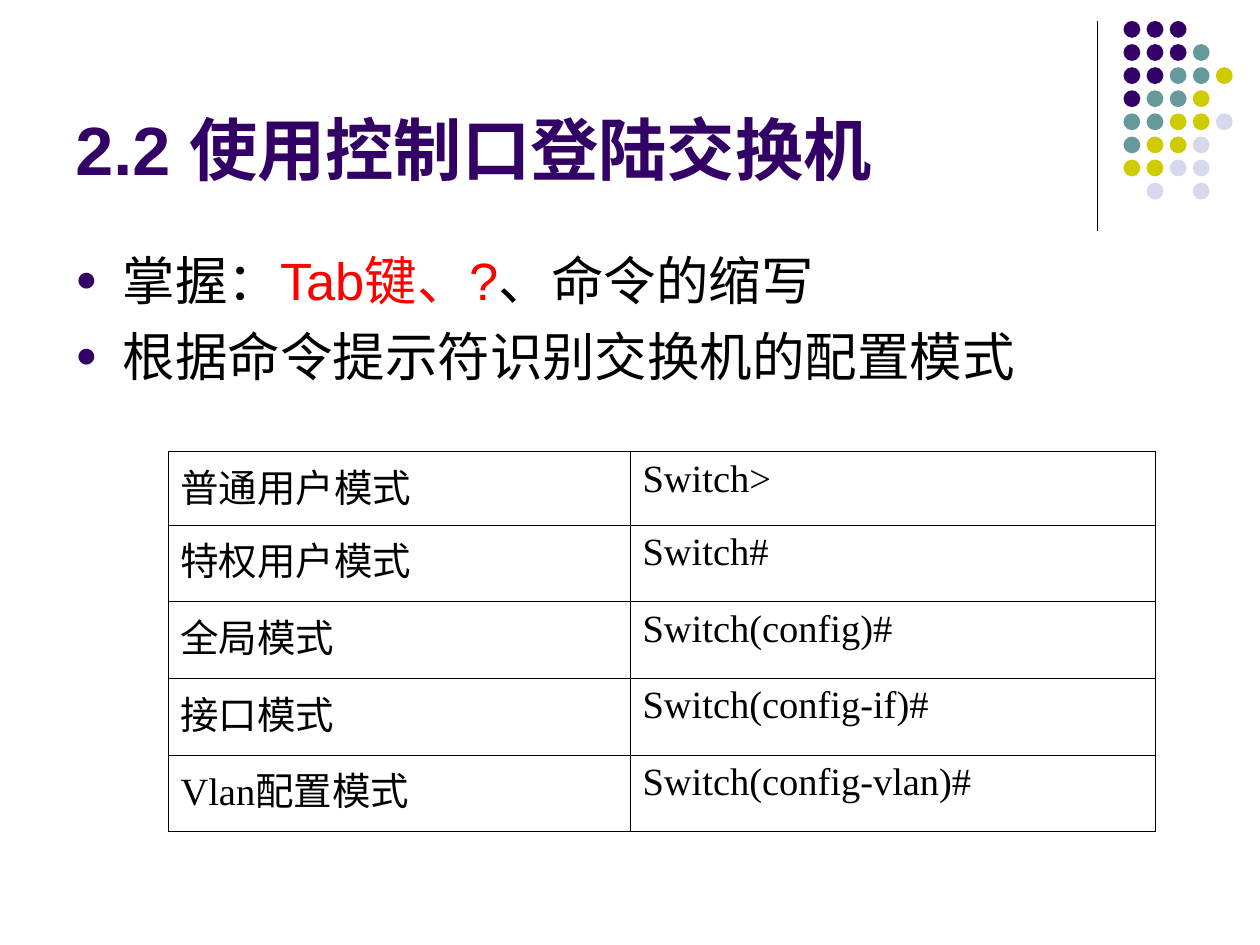
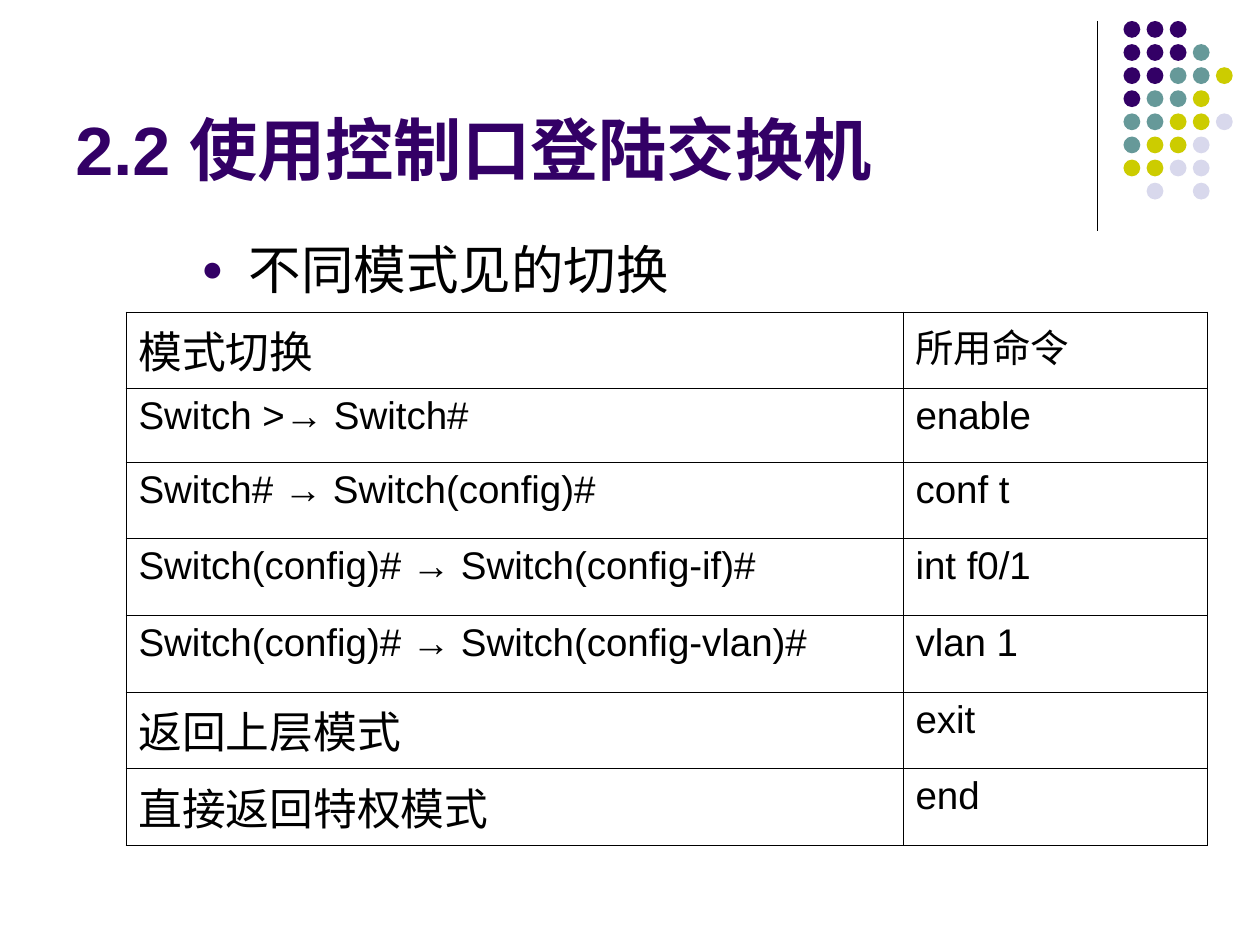
from lxml.etree import SubElement
from pptx import Presentation
from pptx.dml.color import RGBColor
from pptx.enum.shapes import MSO_CONNECTOR, MSO_SHAPE
from pptx.enum.text import MSO_ANCHOR
from pptx.oxml import parse_xml
from pptx.oxml.ns import nsdecls, qn
from pptx.util import Pt

PX = 7620  # EMU, 120 px to the inch
COLORS = {
    "purple": "330066",
    "teal": "669999",
    "lime": "CCCC00",
    "lilac": "D8D8EC",
    "black": "000000",
    "red": "FF0000",
}
SANS, SERIF = "Arial", "Times New Roman"

TITLE = "2.2 使用控制口登陆交换机"
TITLE_BOX = (60, 16, 990, 170)

DOT_ROWS = ["PPP", "PPPT", "PPTTY", "PTTY", "TTYYL", "TYYL", "YYLL", " L L"]
DOT_COLORS = {"P": "purple", "T": "teal", "Y": "lime", "L": "lilac"}
DOT_SIZE, DOT_PITCH = 16, 22

CELL_SIZE, LARGE_SIZE = 22, 25
FIRST_ROW, ROW = 70, 73

MODES = [
    ["普通用户模式", "Switch>"],
    ["特权用户模式", "Switch#"],
    ["全局模式", "Switch(config)#"],
    ["接口模式", "Switch(config-if)#"],
    ["Vlan配置模式", "Switch(config-vlan)#"],
]
SWITCH_HEADER = [["模式切换", "所用命令"]]
SWITCH_COMMANDS = [
    ["Switch >→ Switch#", "enable"],
    ["Switch# → Switch(config)#", "conf t"],
    ["Switch(config)# → Switch(config-if)#", "int f0/1"],
    ["Switch(config)# → Switch(config-vlan)#", "vlan 1"],
    ["返回上层模式", "exit"],
    ["直接返回特权模式", "end"],
]


def emu(*lengths):
    return [length * PX for length in lengths]


def rgb(name):
    return RGBColor.from_string(COLORS[name])


def style_font(font, size, name=SANS, color="black", bold=False):
    font.size = Pt(size)
    font.name = name
    font.bold = bold
    font.color.rgb = rgb(color)


def use_for_chinese(span, name):
    SubElement(span.font._element, qn("a:ea")).set("typeface", name)


def add_text_frame(page, box):
    frame = page.shapes.add_textbox(*emu(*box)).text_frame
    frame.word_wrap = True
    return frame


def add_title(page):
    frame = add_text_frame(page, TITLE_BOX)
    frame.vertical_anchor = MSO_ANCHOR.BOTTOM
    frame.text = TITLE
    span = frame.paragraphs[0].runs[0]
    style_font(span.font, 39, color="purple", bold=True)
    use_for_chinese(span, SANS)


def add_divider(page, x, top, bottom):
    line = page.shapes.add_connector(MSO_CONNECTOR.STRAIGHT, *emu(x, top, x, bottom))
    line.line.color.rgb = rgb("black")
    line.line.width = Pt(0.75)
    SubElement(line._element.spPr, qn("a:effectLst"))


def add_dots(page, left, top):
    group = page.shapes.add_group_shape()
    for row, marks in enumerate(DOT_ROWS):
        for column, mark in enumerate(marks):
            if mark == " ":
                continue
            x, y = left + column * DOT_PITCH, top + row * DOT_PITCH
            dot = group.shapes.add_shape(
                MSO_SHAPE.OVAL, *emu(x, y, DOT_SIZE, DOT_SIZE))
            dot.shadow.inherit = False
            dot.fill.solid()
            dot.fill.fore_color.rgb = rgb(DOT_COLORS[mark])
            dot.line.fill.background()


def add_bullet(para):
    props = para._p.get_or_add_pPr()
    props.set("marL", str(45 * PX))
    props.set("indent", str(-45 * PX))
    color = SubElement(props, qn("a:buClr"))
    SubElement(color, qn("a:srgbClr")).set("val", COLORS["purple"])
    SubElement(props, qn("a:buSzPct")).set("val", "70000")
    SubElement(props, qn("a:buFont")).set("typeface", SANS)
    SubElement(props, qn("a:buChar")).set("char", "●")


def add_bullets(page, box, items):
    """Each item is a list of (text, colour) spans."""
    frame = add_text_frame(page, box)
    for index, item in enumerate(items):
        para = frame.add_paragraph() if index else frame.paragraphs[0]
        add_bullet(para)
        if index:
            para.space_before = Pt(7.5)
        for text, color in item:
            span = para.add_run()
            span.text = text
            style_font(span.font, 30, color=color)
            use_for_chinese(span, SANS)


def border_cell(cell):
    props = cell._tc.get_or_add_tcPr()
    for index, side in enumerate(("lnL", "lnR", "lnT", "lnB")):
        props.insert(index, parse_xml(
            f'<a:{side} {nsdecls("a")} w="5715"><a:solidFill>'
            f'<a:srgbClr val="{COLORS["black"]}"/></a:solidFill></a:{side}>'))


def add_grid(page, left, top, widths, heights, rows, font, large=()):
    """Draw a ruled table; texts listed in large get the larger size."""
    frame = page.shapes.add_table(
        len(rows), len(widths), *emu(left, top, sum(widths), sum(heights)))
    table = frame.table
    table.first_row = table.horz_banding = False
    for column, width in zip(table.columns, widths):
        column.width = width * PX
    for table_row, height, texts in zip(table.rows, heights, rows):
        table_row.height = height * PX
        for cell, text in zip(table_row.cells, texts):
            cell.text = text
            cell.fill.background()
            border_cell(cell)
            span = cell.text_frame.paragraphs[0].runs[0]
            style_font(span.font, LARGE_SIZE if text in large else CELL_SIZE, font)


def add_page(deck):
    """Add a blank page with the divider, dots and title all pages share."""
    page = deck.slides.add_slide(deck.slide_layouts[6])
    add_divider(page, 1045, 20, 220)
    add_dots(page, 1070, 20)
    add_title(page)
    return page


def add_modes_page(deck):
    page = add_page(deck)
    add_bullets(page, (60, 230, 1080, 578), [
        [("掌握：", "black"), ("Tab键、?", "red"), ("、命令的缩写", "black")],
        [("根据命令提示符识别交换机的配置模式", "black")],
    ])
    add_grid(page, 160, 430, [440, 500], [FIRST_ROW] + [ROW] * 4, MODES, SERIF)


def add_switching_page(deck):
    page = add_page(deck)
    add_bullets(page, (180, 220, 960, 540), [[("不同模式见的切换", "black")]])
    left, top, widths = 120, 370, [740, 290]
    add_grid(page, left, top, widths, [FIRST_ROW] + [ROW] * 5, SWITCH_COMMANDS,
             SANS, large=("返回上层模式", "直接返回特权模式"))
    add_grid(page, left, top - ROW, widths, [ROW], SWITCH_HEADER,
             SANS, large=("模式切换",))


def main():
    deck = Presentation()
    deck.slide_width, deck.slide_height = emu(1200, 900)
    add_modes_page(deck)
    add_switching_page(deck)
    deck.save("out.pptx")


if __name__ == "__main__":
    main()
